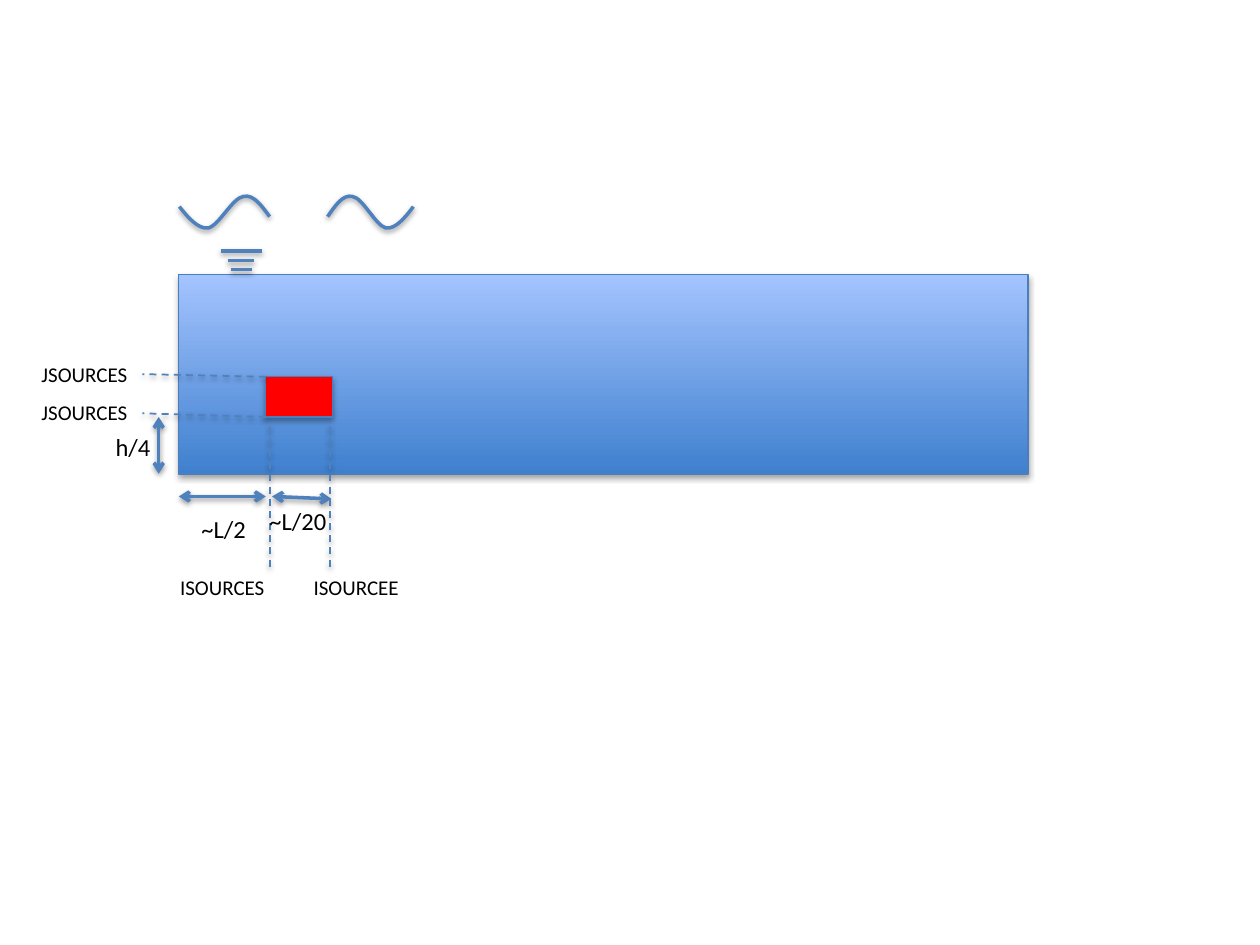
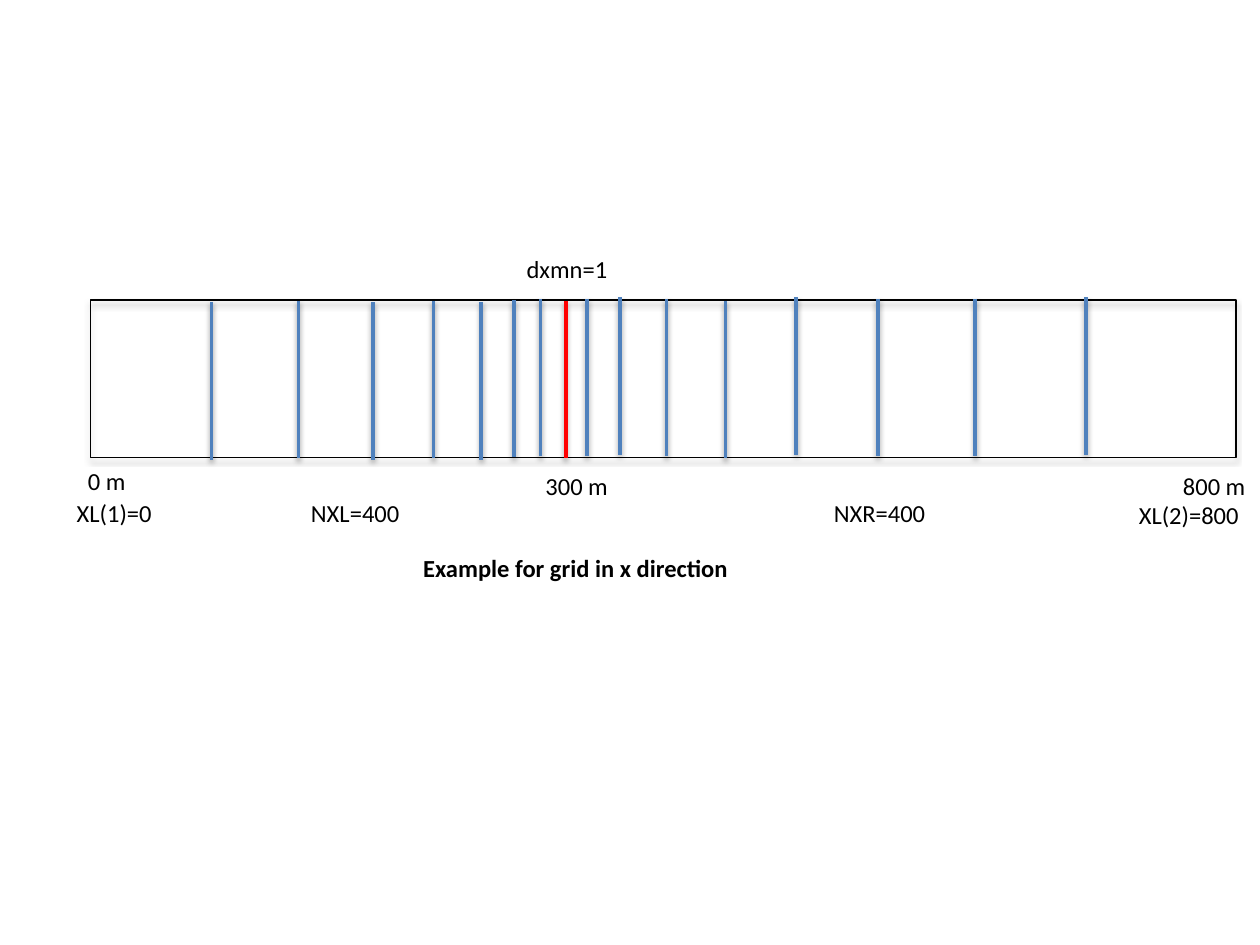
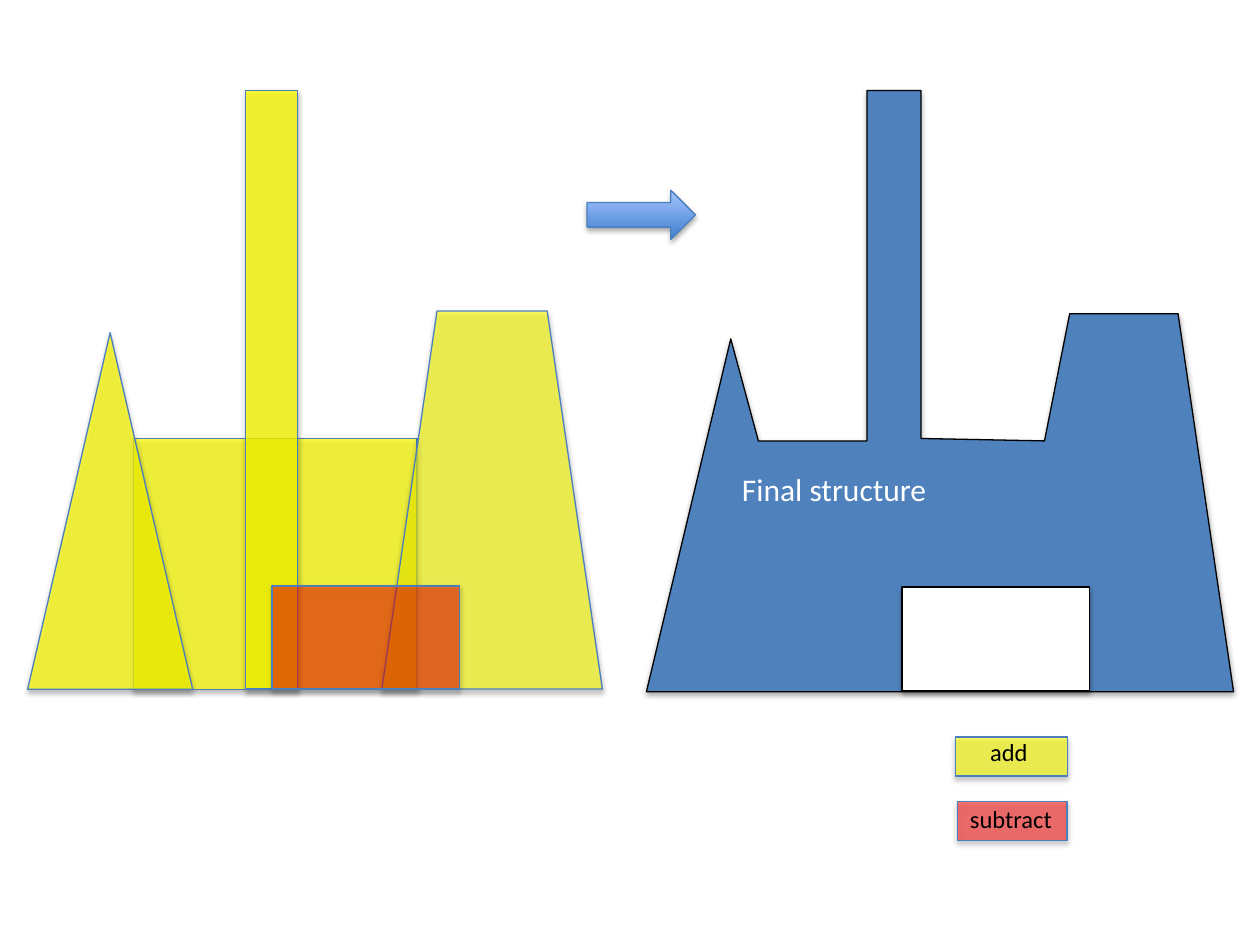
from typing import NamedTuple, Optional

from lxml import etree
from pptx import Presentation
from pptx import util as u
from pptx.dml.color import RGBColor
from pptx.enum import dml, shapes, text
from pptx.oxml.ns import qn
from pptx.slide import Slide

FONT = "Calibri"
BLUE, OUTLINE, RED, YELLOW = "4F81BD", "4B7EBC", "FF0000", "FFFF00"
BLACK, WHITE = "000000", "FFFFFF"
GRADIENT = ("3F80CE", "A4C4FF")  # bottom, top
FORM = shapes.MSO_SHAPE


class Block(NamedTuple):
    left: float
    top: float
    width: float
    height: float
    fill: Optional[str] = None
    opacity: int = 100
    form: FORM = FORM.RECTANGLE
    outline: str = OUTLINE
    gradient: bool = False


class Line(NamedTuple):
    x1: float
    y1: float
    x2: float
    y2: float
    width: float = 2
    color: str = BLUE
    dashed: bool = False
    arrows: bool = False


class Label(NamedTuple):
    text: str
    left: float
    top: float
    width: float
    size: int = 14


def color(code: str) -> RGBColor:
    return RGBColor.from_string(code)


def add_child(parent, tag: str, **attributes):
    return etree.SubElement(parent, qn(tag), {k: str(v) for k, v in attributes.items()})


def add_shadow(shape, opacity: int, distance: float) -> None:
    """Cast a soft black shadow downwards; call after fill and line are set."""
    effects = add_child(shape.element.spPr, "a:effectLst")
    shadow = add_child(effects, "a:outerShdw", blurRad=u.Pt(3.1), dist=u.Pt(distance),
                       dir=5400000, rotWithShape=0)
    black = add_child(shadow, "a:srgbClr", val=BLACK)
    add_child(black, "a:alpha", val=opacity * 1000)


def set_fill(shape, fill: Optional[str], opacity: int = 100) -> None:
    if fill is None:
        shape.fill.background()
        return
    shape.fill.solid()
    shape.fill.fore_color.rgb = color(fill)
    if opacity < 100:
        solid = shape.element.spPr.find(qn("a:solidFill"))
        add_child(solid.find(qn("a:srgbClr")), "a:alpha", val=opacity * 1000)


def set_gradient(shape) -> None:
    shape.fill.gradient()
    shape.fill.gradient_angle = 90
    for stop, code in zip(shape.fill.gradient_stops, GRADIENT):
        stop.color.rgb = color(code)


def set_line(shape, code: str, width: float) -> None:
    shape.line.color.rgb = color(code)
    shape.line.width = u.Pt(width)


def draw_block(page: Slide, block: Block) -> None:
    place = map(u.Pt, (block.left, block.top, block.width, block.height))
    shape = page.shapes.add_shape(block.form, *place)
    if block.gradient:
        set_gradient(shape)
    else:
        set_fill(shape, block.fill, block.opacity)
    set_line(shape, block.outline, 0.75)
    add_shadow(shape, 35, 1.8)


def draw_line(page: Slide, line: Line) -> None:
    ends = map(u.Pt, (line.x1, line.y1, line.x2, line.y2))
    connector = page.shapes.add_connector(shapes.MSO_CONNECTOR.STRAIGHT, *ends)
    set_line(connector, line.color, line.width)
    if line.dashed:
        connector.line.dash_style = dml.MSO_LINE.DASH
    if line.arrows:
        stroke = connector.element.spPr.find(qn("a:ln"))
        add_child(stroke, "a:headEnd", type="arrow")
        add_child(stroke, "a:tailEnd", type="arrow")
    add_shadow(connector, 38, 1.6)


def write(page: Slide, label: Label, *, code: str = BLACK, bold: bool = False,
          wrap: bool = False) -> None:
    height = label.size * 1.2 + 7.2
    box = page.shapes.add_textbox(*map(u.Pt, (label.left, label.top, label.width, height)))
    box.text_frame.word_wrap = wrap
    box.text_frame.auto_size = text.MSO_AUTO_SIZE.SHAPE_TO_FIT_TEXT
    para = box.text_frame.paragraphs[0]
    span = para.add_run()
    span.text = label.text
    span.font.name = FONT
    span.font.size = u.Pt(label.size)
    span.font.bold = bold
    span.font.color.rgb = color(code)


def build_outline(page: Slide, points: list, close: bool):
    start, *rest = [(u.Pt(x), u.Pt(y)) for x, y in points]
    builder = page.shapes.build_freeform(*start, scale=1.0)
    builder.add_line_segments(rest, close=close)
    return builder.convert_to_shape()


def draw_wave(page: Slide, start: float, width: float) -> None:
    """Draw a wave from start; a negative width makes it run to the left."""
    shape = build_outline(page, [(start + width * part, y) for part, y in WAVE], False)
    segments = list(shape.element.spPr.iter(qn("a:lnTo")))
    outline = segments[0].getparent()
    for first in range(0, len(segments), 3):
        curve = add_child(outline, "a:cubicBezTo")
        for segment in segments[first:first + 3]:
            curve.append(segment[0])
            outline.remove(segment)
    set_fill(shape, None)
    set_line(shape, BLUE, 2)
    add_shadow(shape, 38, 1.6)


# Share of the wave's width, height on the page; every third point is on the curve.
WAVE = [(0, 123.8), (0.09, 117.4), (0.18, 110.9), (0.29, 112.3), (0.41, 113),
        (0.56, 128.9), (0.68, 130.3), (0.79, 131), (0.9, 124.6), (1, 118.1)]

TANK = [
    Block(102.2, 157, 485.3, 113.8, gradient=True),
    Block(151.9, 215.3, 38.2, 23, RED),
]
TANK_LINES = [
    Line(126, 143.3, 149.8, 143.3),
    Line(130.3, 149, 145.4, 149),
    Line(131.8, 154.1, 144, 154.1),
    Line(90.7, 238.3, 90.7, 270.7, arrows=True),
    Line(102.2, 283.7, 151.9, 283.7, arrows=True),
    Line(155.5, 283.7, 189.4, 285.1, arrows=True),
    Line(154.1, 243.4, 154.1, 324.7, 1, dashed=True),
    Line(188.6, 243.4, 188.6, 324.7, 1, dashed=True),
    Line(151.9, 238.3, 81.4, 236.2, 1, dashed=True),
    Line(151.9, 215.3, 81.4, 213.8, 1, dashed=True),
]
TANK_LABELS = [
    Label("h/4", 59, 243.4, 34.6),
    Label("~L/20", 146.9, 285.8, 47.5),
    Label("~L/2", 108, 290.2, 40.3),
    Label("ISOURCES", 95.8, 324.7, 63.4, 12),
    Label("ISOURCEE", 172.1, 324.7, 64.1, 12),
    Label("JSOURCES", 16.6, 224.6, 64.1, 12),
    Label("JSOURCES", 16.6, 203, 64.1, 12),
]

GRID_HEIGHT = 90
GRID_LINES = {  # top: positions along x
    170: [354.2, 455, 620.6],
    170.8: [308.9, 335.5, 380.9, 501.8, 557.3],
    171.4: [293.8],
    172: [170.6, 247.7, 414.7],
    172.8: [121, 213.1, 275],
}
GRID_LABELS = [
    Label("0 m", 43.2, 262.8, 36),
    Label("800 m", 668.9, 265.7, 50.4),
    Label("300 m", 304.6, 265.7, 50.4),
    Label("dxmn=1", 293.8, 141.8, 61.2),
    Label("XL(1)=0", 36.7, 280.8, 58.3),
    Label("XL(2)=800", 643.7, 282.2, 72),
    Label("NXL=400", 170.6, 280.8, 65.5),
    Label("NXR=400", 469.4, 280.8, 67),
]

LEGEND = [
    Block(545.8, 421.2, 64.1, 22.3, YELLOW, 60),
    Block(547.2, 457.9, 62.6, 22.3, RED, 50),
]
LEGEND_LABELS = [
    Label("add", 558.7, 417.6, 51.1),
    Label("subtract", 547.2, 455.8, 62.6),
]
PARTS = [
    Block(76.3, 250.6, 162, 143.3, YELLOW, 70),
    Block(218.2, 177.8, 126, 216, YELLOW, 60, FORM.TRAPEZOID),
    Block(15.8, 190.1, 94.3, 203.8, YELLOW, 70, FORM.ISOSCELES_TRIANGLE),
    Block(140.4, 51.8, 29.5, 342, YELLOW, 75),
    Block(335.5, 108.7, 61.9, 28.1, form=FORM.RIGHT_ARROW, gradient=True),
]
OPENINGS = [
    Block(155.5, 334.8, 107.3, 59, RED, 47),
    Block(515.5, 335.5, 107.3, 59, WHITE, outline=BLACK),
]
STRUCTURE = [
    (369.4, 395.3), (417.6, 193.7), (433.4, 252), (495.4, 252), (495.4, 51.8),
    (526.3, 51.8), (526.3, 250.6), (596.9, 252), (611.3, 179.3), (673.2, 179.3),
    (704.9, 395.3),
]


def draw_wave_tank(page: Slide) -> None:
    for block in TANK:
        draw_block(page, block)
    for line in TANK_LINES:
        draw_line(page, line)
    for label in TANK_LABELS:
        write(page, label)
    draw_wave(page, 187.2, 49)
    draw_wave(page, 154.1, -51.6)


def draw_grid(page: Slide) -> None:
    draw_block(page, Block(51.8, 171.4, 654.5, GRID_HEIGHT, outline=BLACK))
    for top, positions in GRID_LINES.items():
        for x in positions:
            draw_line(page, Line(x, top, x, top + GRID_HEIGHT))
    draw_line(page, Line(323.3, 172, 323.3, 172 + GRID_HEIGHT, color=RED))
    for label in GRID_LABELS:
        write(page, label)
    write(page, Label("Example for grid in x direction", 234.7, 312.5, 190.8), bold=True)


def draw_structure(page: Slide) -> None:
    for block in LEGEND:
        draw_block(page, block)
    for label in LEGEND_LABELS:
        write(page, label, wrap=True)
    for block in PARTS:
        draw_block(page, block)
    structure = build_outline(page, STRUCTURE, True)
    set_fill(structure, BLUE)
    set_line(structure, BLACK, 0.75)
    add_shadow(structure, 35, 1.8)
    write(page, Label("Final structure", 416.9, 265, 121.7, 18), code=WHITE)
    for block in OPENINGS:
        draw_block(page, block)


def main() -> None:
    deck = Presentation()
    deck.slide_width, deck.slide_height = u.Pt(720), u.Pt(540)
    for draw in (draw_wave_tank, draw_grid, draw_structure):
        draw(deck.slides.add_slide(deck.slide_layouts[6]))
    deck.save("out.pptx")


if __name__ == "__main__":
    main()
